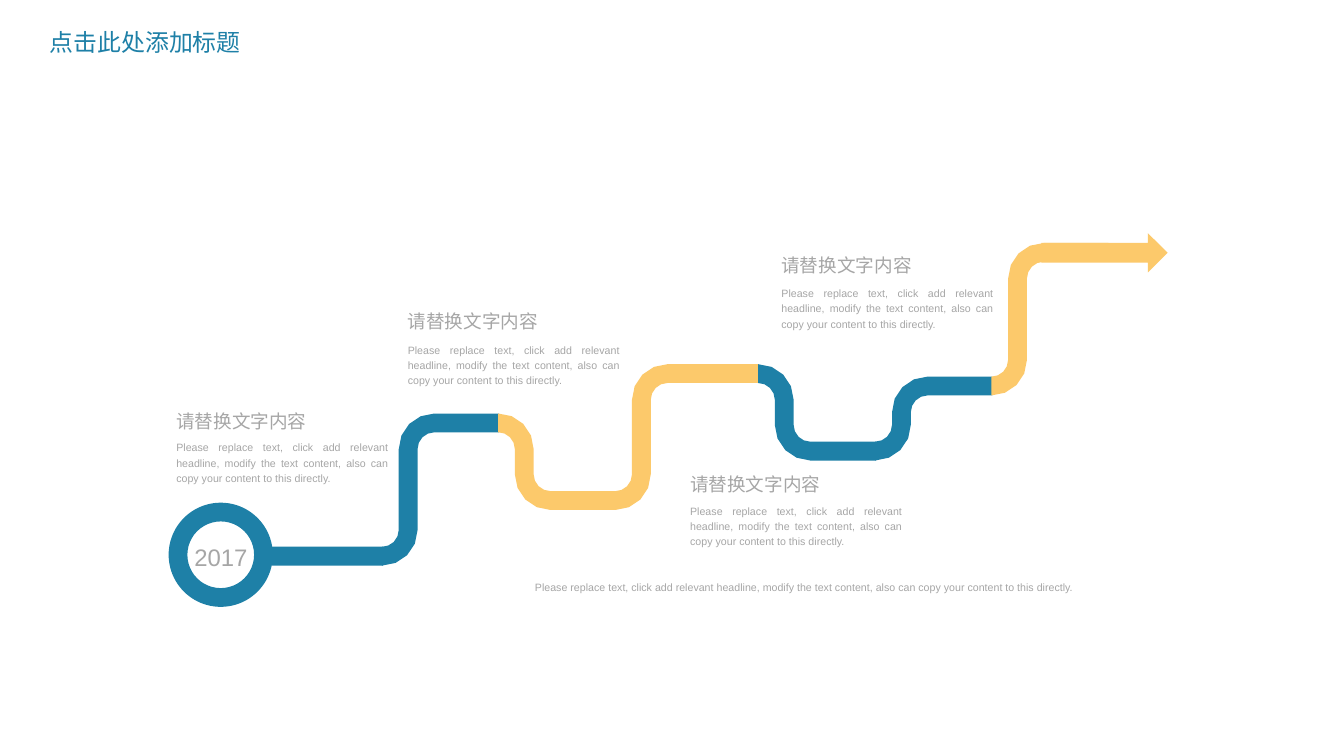
from dataclasses import dataclass
from itertools import pairwise
from math import cos, pi, sin

from lxml.etree import SubElement
from pptx import Presentation
from pptx.dml.color import RGBColor
from pptx.enum.shapes import MSO_SHAPE
from pptx.enum.text import MSO_ANCHOR, MSO_AUTO_SIZE, PP_ALIGN
from pptx.oxml.ns import qn
from pptx.shapes.autoshape import Shape
from pptx.slide import Slide
from pptx.util import Inches, Pt

COLORS = {"blue": "1E80A7", "yellow": "FCC96B", "gray": "A6A6A6"}
WIDTH, HEIGHT = Inches(14.06), Inches(7.91)
COLUMNS = 100
LATIN, CJK = "Arial", "Noto Sans CJK SC"
BEND, HALF_PIPE, OVERLAP, ARC_STEPS = 1.95, 0.7, 0.07, 4
HEADING = "请替换文字内容"
BODY = ("Please replace text, click add relevant headline, modify the text content, "
        "also can copy your content to this directly.")


@dataclass(frozen=True)
class Box:
    x: float
    y: float
    w: float
    h: float


@dataclass(frozen=True)
class Stop:
    x: float
    y: float
    color: str = ""


@dataclass(frozen=True)
class Milestone:
    x: float
    y: float
    body_y: float


@dataclass(frozen=True)
class Style:
    size: int = 8
    color: str = "gray"
    font: str = LATIN
    align: PP_ALIGN = PP_ALIGN.JUSTIFY
    anchor: MSO_ANCHOR = MSO_ANCHOR.TOP
    tight: bool = True


STOPS = [
    Stop(28.42, 41.39, "blue"),
    Stop(37.06, 31.47, "yellow"),
    Stop(45.77, 37.25, "yellow"),
    Stop(56.4, 27.8, "blue"),
    Stop(65.12, 33.57, "blue"),
    Stop(73.76, 28.73, "yellow"),
    Stop(82.4, 18.78),
]
MILESTONES = [
    Milestone(13.12, 30.16, 32.65),
    Milestone(30.34, 22.76, 25.39),
    Milestone(51.35, 34.85, 37.38),
    Milestone(58.14, 18.56, 21.16),
]


def grid(n: float) -> int:
    return round(n * WIDTH / COLUMNS)


def frame(b: Box) -> tuple[int, int, int, int]:
    return grid(b.x), grid(b.y), grid(b.w), grid(b.h)


def paint(sp: Shape, color: str) -> None:
    sp.fill.solid()
    sp.fill.fore_color.rgb = RGBColor.from_string(COLORS[color])
    sp.line.fill.background()
    sp.shadow.inherit = False


def add_block(s: Slide, kind: MSO_SHAPE, box: Box, color: str) -> Shape:
    sp = s.shapes.add_shape(kind, *frame(box))
    paint(sp, color)
    return sp


def pipe_edge(a: Stop, b: Stop, side: float) -> list[tuple[int, int]]:
    d = 1 if b.y > a.y else -1
    first, second = BEND + side, BEND - side
    turns = [i * pi / 2 / ARC_STEPS for i in range(ARC_STEPS + 1)]
    points = [(a.x + first * sin(t), a.y + d * (BEND - first * cos(t))) for t in turns]
    points += [(a.x + 2 * BEND - second * cos(t), b.y - d * (BEND - second * sin(t)))
               for t in turns]
    points.append((b.x + OVERLAP, b.y - d * side))
    return [(grid(x), grid(y)) for x, y in points]


def add_pipe(s: Slide, a: Stop, b: Stop) -> None:
    outline = pipe_edge(a, b, HALF_PIPE) + pipe_edge(a, b, -HALF_PIPE)[::-1]
    builder = s.shapes.build_freeform(*outline[0])
    builder.add_line_segments(outline[1:], close=True)
    paint(builder.convert_to_shape(), a.color)


def add_text(s: Slide, box: Box, text: str, style: Style) -> None:
    tf = s.shapes.add_textbox(*frame(box)).text_frame
    tf.word_wrap = True
    tf.vertical_anchor = style.anchor
    p = tf.paragraphs[0]
    p.alignment = style.align
    if style.tight:
        tf.margin_left = tf.margin_top = tf.margin_right = tf.margin_bottom = 0
        tf.auto_size = MSO_AUTO_SIZE.SHAPE_TO_FIT_TEXT
        p.line_spacing = 1.2
    r = p.add_run()
    r.text = text
    r.font.size = Pt(style.size)
    r.font.color.rgb = RGBColor.from_string(COLORS[style.color])
    r.font.name = style.font
    SubElement(r.font._element, qn("a:ea")).set("typeface", CJK)


def main() -> None:
    prs = Presentation()
    prs.slide_width, prs.slide_height = WIDTH, HEIGHT
    s = prs.slides.add_slide(prs.slide_layouts[6])

    for a, b in pairwise(STOPS):
        add_pipe(s, a, b)

    ring = add_block(s, MSO_SHAPE.DONUT, Box(12.55, 37.41, 7.75, 7.75), "blue")
    ring.adjustments[0] = 0.18
    start = STOPS[0]
    add_block(s, MSO_SHAPE.RECTANGLE,
              Box(20.2, start.y - HALF_PIPE, start.x + OVERLAP - 20.2, 2 * HALF_PIPE), "blue")
    add_block(s, MSO_SHAPE.RIGHT_ARROW, Box(77.48, 17.35, 9.39, 2.92), "yellow")

    add_text(s, Box(13.2, 39.95, 6.47, 2.56), "2017", Style(18, align=PP_ALIGN.CENTER))
    add_text(s, Box(39.8, 43.05, 48.08, 1.07), BODY, Style())
    for m in MILESTONES:
        add_text(s, Box(m.x, m.y, 13.3, 2), HEADING, Style(14, align=PP_ALIGN.LEFT))
        add_text(s, Box(m.x, m.body_y, 15.79, 3.41), BODY, Style(anchor=MSO_ANCHOR.MIDDLE))
    add_text(s, Box(2.99, 1.71, 16.79, 2.77), "点击此处添加标题",
             Style(18, "blue", CJK, PP_ALIGN.LEFT, tight=False))

    prs.save("out.pptx")


if __name__ == "__main__":
    main()
